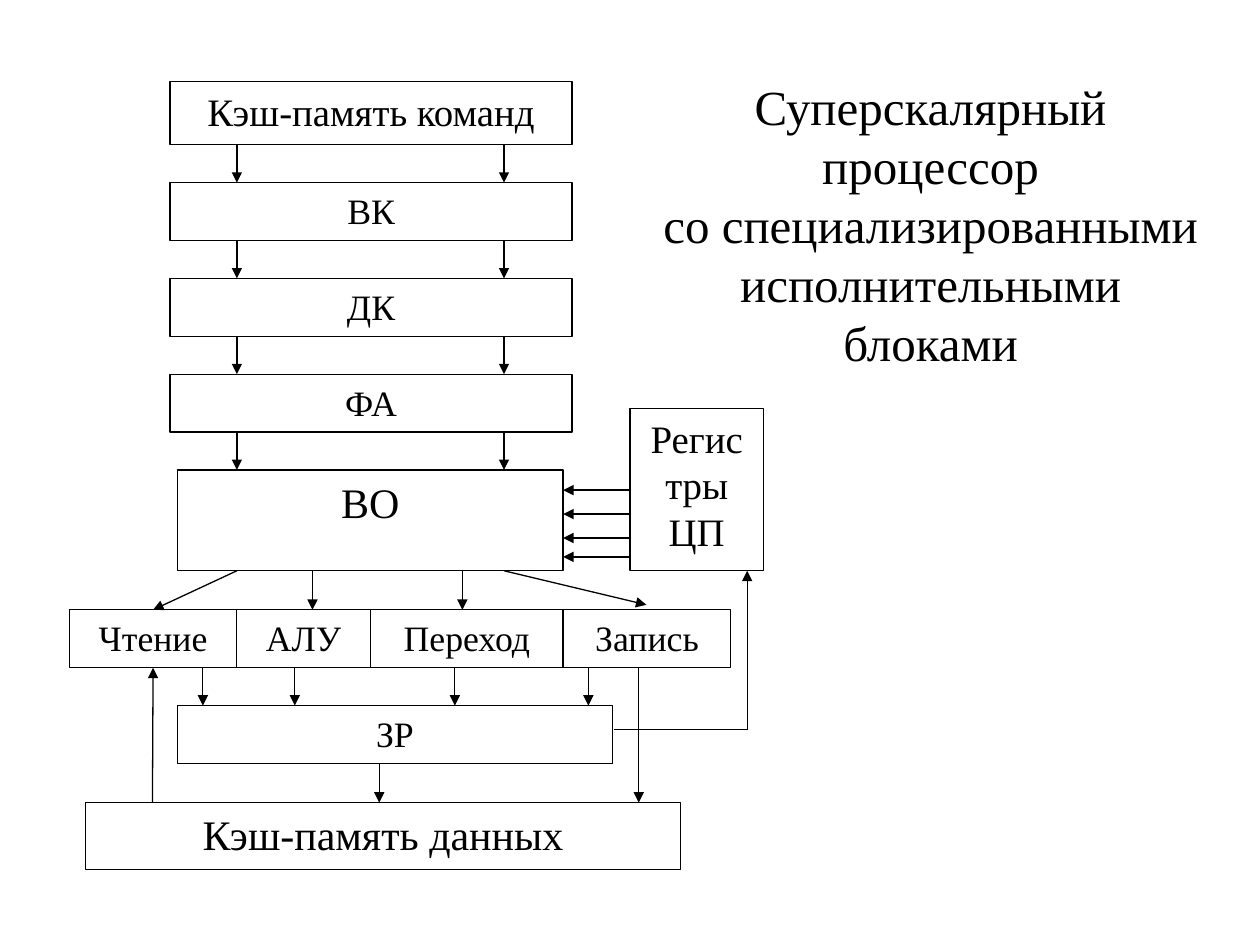
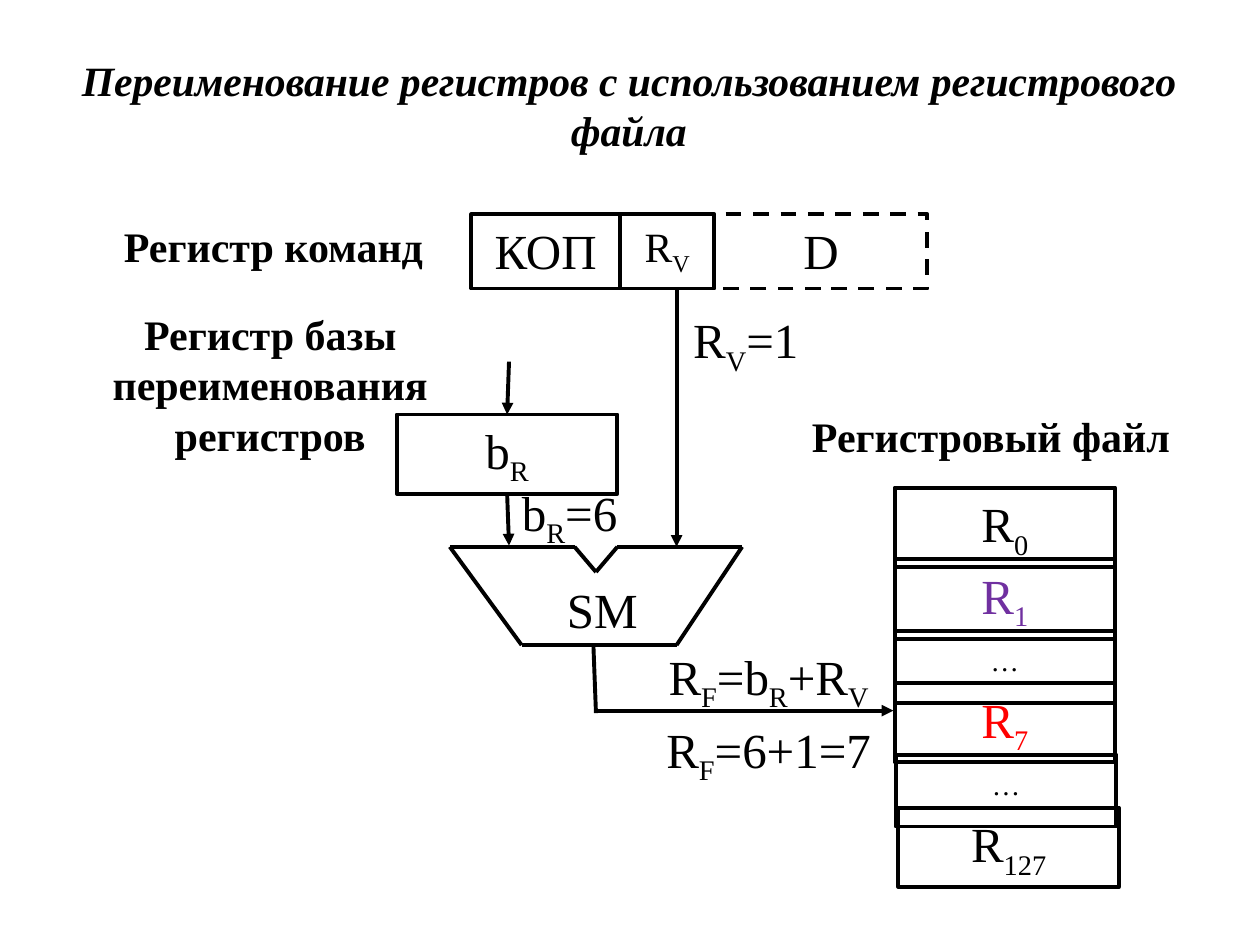
from itertools import pairwise

from lxml import etree
from pptx import Presentation
from pptx.dml.color import RGBColor
from pptx.enum import dml, shapes, text
from pptx.oxml import ns
from pptx.util import Inches, Pt

FONT = "Times New Roman"
BLACK, WHITE, RED, PURPLE = "000000", "FFFFFF", "FF0000", "7030A0"
THIN, THICK = 0.75, 2.25

PROCESSOR_TITLE = "Суперскалярный процессор\vсо специализированными исполнительными блоками"
STAGE_TOP, STAGE_GAP = 0.65, 0.3
STAGES = [  # name, left, width, height, size
    ("Кэш-память команд", 1.35, 3.19, 0.5, 22.2),
    ("ВК", 1.35, 3.19, 0.46, 20.4),
    ("ДК", 1.35, 3.19, 0.46, 20.4),
    ("ФА", 1.35, 3.19, 0.46, 20.4),
    ("ВО", 1.41, 3.06, 0.8, 24),
]
STAGE_ARROWS = (1.88, 4)
UNIT_LEFT, UNIT_TOP, UNIT_HEIGHT = 0.55, 4.84, 0.46
UNITS = [("Чтение", 1.33), ("АЛУ", 1.06), ("Переход", 1.53), ("Запись", 1.33)]
STORES = [
    ("ЗР", (1.41, 5.6, 3.45, 0.46), 20.4),
    ("Кэш-память данных", (0.68, 6.37, 4.72, 0.53), 24),
    ("Регистры ЦП", (5, 3.24, 1.06, 1.29), 22.2),
]
DISPATCH_ARROWS = [((1.88, 4.53), ("Чтение", 0)), ((2.48, 4.53), (2.48, 4.84)),
                   ((3.67, 4.53), (3.67, 4.84)), ((4, 4.53), (5.13, 4.8))]
RESULT_ARROWS = (1.61, 2.34, 3.61, 4.67)
OPERAND_ARROWS = (3.89, 4.08, 4.27, 4.42)
MEMORY_ARROWS = [((1.21, 6.37), ("Чтение", 2)), ((3.01, 6.06), (3.01, 6.37)),
                 ((5.07, 5.3), (5.07, 6.37)), ((5.93, 5.79), (5.93, 4.53))]

RENAMING_TITLE = "Переименование регистров с использованием регистрового файла"
COMMAND_LEFT, COMMAND_TOP, COMMAND_HEIGHT = 3.74, 1.7, 0.59
COMMAND_FIELDS = [("КОП", 1.18, 28, False), ("R~V", 0.75, 23.8, False), ("D", 1.69, 28, True)]
BASE_BOX = (3.15, 3.29, 1.75, 0.63)
REGISTER_FILE = [  # name, left, top, height, colour
    ("R~0", 7.1, 3.87, 0.63, BLACK),
    ("R~1", 7.1, 4.44, 0.63, PURPLE),
    ("…", 7.1, 5.01, 0.57, BLACK),
    ("R~7", 7.1, 5.42, 0.63, RED),
    ("…", 7.11, 5.99, 0.57, BLACK),
    ("R~127", 7.13, 6.41, 0.63, BLACK),
]
HEADINGS = [
    ("Регистр команд", (0.75, 1.7, 2.84, 0.59)),
    ("Регистр базы переименования регистров", (0.51, 2.4, 3.27, 1.3)),
    ("Регистровый файл", (6.23, 3.21, 3.27, 0.5)),
]
FORMULAS = [
    ("SM", (3.82, 4.55, 1.92, 0.57)),
    (" R~V~=1", (5.16, 2.41, 1.42, 0.63)),
    ("b~R~=6", (3.97, 3.78, 1.1, 0.63)),
    ("R~F~=b~R~+R~V", (4.92, 5.08, 2.36, 0.63)),
    ("R~F~=6+1=7", (4.92, 5.66, 2.36, 0.63)),
]
ADDER = [(3.57, 4.34), (4.56, 4.34), (4.73, 4.54), (4.9, 4.34),
         (5.89, 4.34), (5.37, 5.12), (4.14, 5.12), (3.57, 4.34)]


def colour(hex_value):
    """Turn a hex string into a colour."""
    return RGBColor.from_string(hex_value)


def write(shape, content, size, ink=BLACK, bold=None, italic=None, anchor=text.MSO_ANCHOR.TOP):
    """Fill a shape with one centred paragraph; every second part between ~ is a subscript."""
    frame = shape.text_frame
    frame.word_wrap = True
    frame.auto_size = text.MSO_AUTO_SIZE.NONE
    frame.vertical_anchor = anchor
    line = frame.paragraphs[0]
    line.alignment = text.PP_ALIGN.CENTER
    line.font.name, line.font.size = FONT, Pt(size)
    line.font.bold, line.font.italic = bold, italic
    line.font.color.rgb = colour(ink)
    if "~" not in content and content != "…":
        line.text = content
        return line
    for index, part in enumerate(content.split("~")):
        run = line.add_run()
        run.text = part
        shift = 30000 if part == "…" else -25000 * (index % 2)
        if shift:
            run.font._element.set("baseline", str(shift))
    return line


def add_title(slide, content, place, size, **style):
    """Move and format the title placeholder."""
    title = slide.shapes.title
    title.left, title.top, title.width, title.height = map(Inches, place)
    write(title, content, size, **style)


def add_box(slide, content, place, size, weight, fill=None, ink=BLACK, dashed=False):
    """Draw an outlined rectangle with text."""
    box = slide.shapes.add_shape(shapes.MSO_SHAPE.RECTANGLE, *map(Inches, place))
    box.shadow.inherit = False
    if fill:
        box.fill.solid()
        box.fill.fore_color.rgb = colour(fill)
    else:
        box.fill.background()
    box.line.color.rgb = colour(BLACK)
    box.line.width = Pt(weight)
    if dashed:
        box.line.dash_style = dml.MSO_LINE.DASH
    write(box, content, size, ink)
    return box


def add_label(slide, content, place, size, bold=None):
    """Place text without an outline."""
    write(slide.shapes.add_textbox(*map(Inches, place)), content, size, bold=bold)


def add_line(slide, start, end, weight, boxes=None, arrow=True):
    """Draw a line; an end is a point or a (box name, side) pair."""
    points = [(0, 0) if isinstance(spot[0], str) else spot for spot in (start, end)]
    line = slide.shapes.add_connector(
        shapes.MSO_CONNECTOR.STRAIGHT, *(Inches(value) for point in points for value in point))
    for spot, join in ((start, line.begin_connect), (end, line.end_connect)):
        if isinstance(spot[0], str):
            join(boxes[spot[0]], spot[1])
    line.line.color.rgb = colour(BLACK)
    line.line.width = Pt(weight)
    if arrow:
        etree.SubElement(line.line._get_or_add_ln(), ns.qn("a:tailEnd"), type="triangle")
    etree.SubElement(line._element.spPr, ns.qn("a:effectLst"))


def build_processor(slide):
    """Draw the superscalar processor diagram."""
    add_title(slide, PROCESSOR_TITLE, (5.12, 0.56, 4.53, 2.72), 28)
    boxes = {}
    top = STAGE_TOP
    for name, left, width, height, size in STAGES:
        boxes[name] = add_box(slide, name, (left, top, width, height), size, THIN, WHITE)
        top += height + STAGE_GAP
        if name != STAGES[-1][0]:
            for x in STAGE_ARROWS:
                add_line(slide, (x, top - STAGE_GAP), (x, top), THIN)
    boxes["ВО"].text_frame.paragraphs[0].space_before = Pt(6)

    left = UNIT_LEFT
    for name, width in UNITS:
        place = (left, UNIT_TOP, width, UNIT_HEIGHT)
        boxes[name] = add_box(slide, name, place, 20.4, THIN, WHITE)
        left += width
    for name, place, size in STORES:
        boxes[name] = add_box(slide, name, place, size, THIN, WHITE)

    for start, end in DISPATCH_ARROWS + MEMORY_ARROWS:
        add_line(slide, start, end, THIN, boxes)
    for x in RESULT_ARROWS:
        add_line(slide, (x, 5.3), (x, 5.6), THIN)
    for y in OPERAND_ARROWS:
        add_line(slide, (5, y), (4.47, y), THIN)
    add_line(slide, (4.87, 5.79), (5.93, 5.79), THIN, arrow=False)


def build_renaming(slide):
    """Draw the register renaming diagram."""
    add_title(slide, RENAMING_TITLE, (0.49, 0.36, 9, 0.95), 23.8,
              bold=True, italic=True, anchor=text.MSO_ANCHOR.MIDDLE)
    left = COMMAND_LEFT
    for name, width, size, dashed in COMMAND_FIELDS:
        place = (left, COMMAND_TOP, width, COMMAND_HEIGHT)
        add_box(slide, name, place, size, THICK, dashed=dashed)
        left += width
    boxes = {"b~R": add_box(slide, "b~R", BASE_BOX, 28, THICK)}
    for name, left, top, height, ink in REGISTER_FILE:
        add_box(slide, name, (left, top, 1.75, height), 28, THICK, ink=ink)
    for heading, place in HEADINGS:
        add_label(slide, heading, place, 24, bold=True)
    for formula, place in FORMULAS:
        add_label(slide, formula, place, 28)

    for start, end in pairwise(ADDER):
        add_line(slide, start, end, THICK, arrow=False)
    add_line(slide, (4.71, 5.13), (4.73, 5.66), THICK, arrow=False)
    for start, end in [((4.04, 2.87), ("b~R", 0)), (("b~R", 2), (4.04, 4.33)),
                       ((5.37, 2.29), (5.37, 4.34)), ((4.72, 5.64), (7.09, 5.64))]:
        add_line(slide, start, end, THICK, boxes)


def main():
    """Build both slides and save them."""
    deck = Presentation()
    deck.slide_width, deck.slide_height = Inches(10), Inches(7.5)
    for build in (build_processor, build_renaming):
        build(deck.slides.add_slide(deck.slide_layouts[5]))
    deck.save("out.pptx")


if __name__ == "__main__":
    main()
